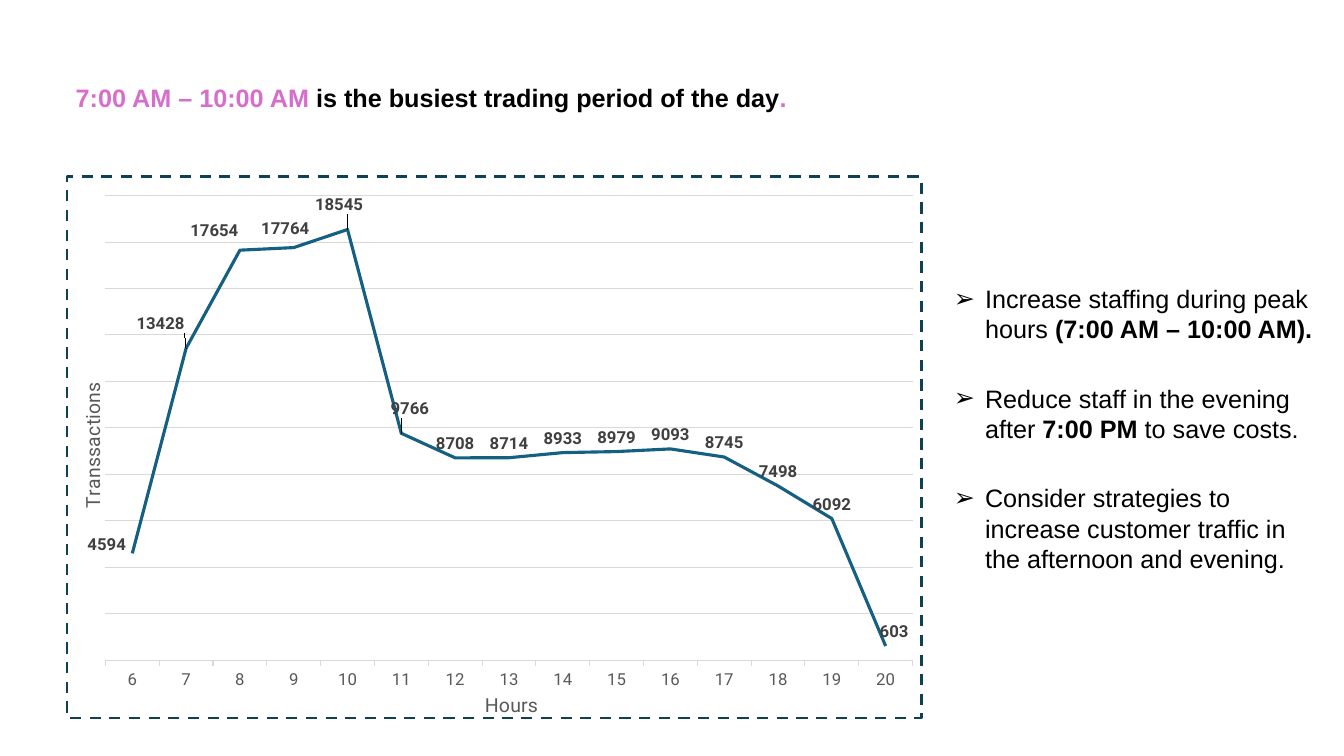
import pptx
import pptx.chart.data
import pptx.dml.color
import pptx.enum.chart
import pptx.enum.text
import pptx.oxml
import pptx.oxml.ns
import pptx.util
from pptx.util import Inches

PINK, BLACK, GREY, RULE = "D86ECC", "000000", "595959", "D9D9D9"
BLUE, NAVY, DARK = "156082", "0E4056", "404040"

HOURS = range(6, 21)
COUNTS = [4594, 13428, 17654, 17764, 18545, 9766, 8708, 8714,
          8933, 8979, 9093, 8745, 7498, 6092, 603]
# Label shifts by point, as shares of the chart's width and height
SHIFTS = {0: (-0.03, 0.01), 1: (-0.03, -0.02), 2: (-0.03, -0.01),
          3: (-0.01, -0.01), 4: (-0.01, -0.02), 5: (0.01, -0.02),
          14: (0.01, 0)}

HEAD = [("7:00 AM – 10:00 AM ", PINK, True),
        ("is the busiest trading period of the day", BLACK, True),
        (".", PINK, True)]
TIPS = [
    [("Increase staffing during peak hours ", BLACK, False),
     ("(7:00 AM – 10:00 AM).", BLACK, True)],
    [("Reduce staff in the evening after ", BLACK, False),
     ("7:00 PM ", BLACK, True),
     ("to save costs.", BLACK, False)],
    [("Consider strategies to increase customer traffic in the "
      "afternoon and evening.", BLACK, False)],
]


def color(text):
    return pptx.dml.color.RGBColor.from_string(text)


def style(font, name, size, tint, bold=False):
    font.name = name
    font.size = pptx.util.Pt(size)
    font.color.rgb = color(tint)
    font.bold = bold


def stroke(line, tint, width):
    line.color.rgb = color(tint)
    line.width = pptx.util.Pt(width)


def node(xml):
    """Parse XML whose root lacks its namespace declarations."""
    tag, rest = xml.split(">", 1)
    tail = "/" if tag.endswith("/") else ""
    names = pptx.oxml.ns.nsdecls("c", "a")
    return pptx.oxml.parse_xml(f"{tag.rstrip('/')} {names}{tail}>{rest}")


def layout(inner="", **marks):
    """Build a manual chart layout from x, y, w and h shares."""
    parts = "".join(f'<c:{key} val="{val}"/>' for key, val in marks.items())
    return node(f"<c:layout><c:manualLayout>{inner}{parts}"
                "</c:manualLayout></c:layout>")


def place(shape, left, top, width, height, anchor):
    shape.left, shape.top = Inches(left), Inches(top)
    shape.width, shape.height = Inches(width), Inches(height)
    frame = shape.text_frame
    frame.word_wrap = True
    frame.auto_size = pptx.enum.text.MSO_AUTO_SIZE.NONE
    frame.vertical_anchor = anchor
    return frame


def write(para, runs):
    para.alignment = pptx.enum.text.PP_ALIGN.LEFT
    para.space_before = pptx.util.Pt(0)
    for text, tint, bold in runs:
        run = para.add_run()
        run.text = text
        style(run.font, "Arial", 18, tint, bold)


def bullet(para):
    props = para._p.get_or_add_pPr()
    props.set("marL", str(Inches(0.31)))
    props.set("indent", str(Inches(-0.31)))
    props.append(node('<a:buFont typeface="Arial"/>'))
    props.append(node('<a:buChar char="➢"/>'))


def add_list(shape, tips):
    frame = place(shape, 9.36, 2.76, 3.8, 2.99,
                  pptx.enum.text.MSO_ANCHOR.TOP)
    for num, runs in enumerate(tips):
        para = frame.add_paragraph() if num else frame.paragraphs[0]
        write(para, runs)
        if num:
            para.space_before = pptx.util.Pt(28)
        bullet(para)


def name_axis(axis, text, x, y):
    title = axis.axis_title
    run = title.text_frame.paragraphs[0].add_run()
    run.text = text
    style(run.font, "Roboto", 14, GREY)
    for old in title._element.xpath("c:layout"):
        title._element.remove(old)
    title._element.xpath("c:tx")[0].addnext(
        layout('<c:xMode val="edge"/><c:yMode val="edge"/>', x=x, y=y))


def set_axes(chart):
    marks = pptx.enum.chart.XL_TICK_MARK
    cat = chart.category_axis
    cat.major_tick_mark = marks.OUTSIDE
    style(cat.tick_labels.font, "Roboto", 12, GREY)
    stroke(cat.format.line, RULE, 0.75)
    name_axis(cat, "Hours", 0.485, 0.945)
    val = chart.value_axis
    val.minimum_scale, val.maximum_scale, val.major_unit = 0, 20000, 2000
    val.has_major_gridlines = True
    stroke(val.major_gridlines.format.line, RULE, 0.75)
    name_axis(val, "Transsactions", 0.01, 0.375)
    val.visible = False


def set_labels(chart, line):
    above = pptx.enum.chart.XL_LABEL_POSITION.ABOVE
    labels = line.data_labels
    labels.show_value = True
    labels.position = above
    style(labels.font, "Roboto", 12, DARK, True)
    for num, (x, y) in SHIFTS.items():
        label = line.points[num].data_label
        style(label.font, "Roboto", 12, DARK, True)
        label.position = above
        mark = chart.element.xpath(f".//c:dLbl/c:idx[@val='{num}']")[0]
        mark.addnext(layout(x=x, y=y))


def frame_chart(chart):
    """Fix the plot area and draw the dashed border."""
    area = chart.element.xpath("c:chart/c:plotArea")[0]
    for old in area.xpath("c:layout"):
        area.remove(old)
    area.insert(0, layout('<c:layoutTarget val="inner"/>'
                          '<c:xMode val="edge"/><c:yMode val="edge"/>',
                          x=0.045, y=0.035, w=0.945, h=0.858))
    chart.element.xpath("c:chart")[0].addnext(node(
        f'<c:spPr><a:noFill/><a:ln w="{pptx.util.Pt(2)}"><a:solidFill>'
        f'<a:srgbClr val="{NAVY}"/></a:solidFill>'
        '<a:prstDash val="dash"/></a:ln></c:spPr>'))


def add_chart(slide):
    data = pptx.chart.data.CategoryChartData()
    data.categories = [str(hour) for hour in HOURS]
    data.add_series("Series 1", COUNTS)
    chart = slide.shapes.add_chart(
        pptx.enum.chart.XL_CHART_TYPE.LINE, Inches(0.65), Inches(1.74),
        Inches(8.5), Inches(5.44), data).chart
    chart.has_legend = chart.has_title = False
    style(chart.font, "Roboto", 10, BLACK)
    plot = chart.plots[0]
    plot.vary_by_categories = False
    line = plot.series[0]
    line.smooth = False
    line.marker.style = pptx.enum.chart.XL_MARKER_STYLE.NONE
    stroke(line.format.line, BLUE, 2.25)
    set_axes(chart)
    set_labels(chart, line)
    frame_chart(chart)


def main():
    deck = pptx.Presentation()
    deck.slide_width, deck.slide_height = Inches(13.33), Inches(7.5)
    slide = deck.slides.add_slide(deck.slide_layouts[1])
    head, body = slide.placeholders
    frame = place(head, 0.65, 0.77, 8.6, 0.4,
                  pptx.enum.text.MSO_ANCHOR.TOP)
    write(frame.paragraphs[0], HEAD)
    add_list(body, TIPS)
    add_chart(slide)
    deck.save("out.pptx")


if __name__ == "__main__":
    main()
